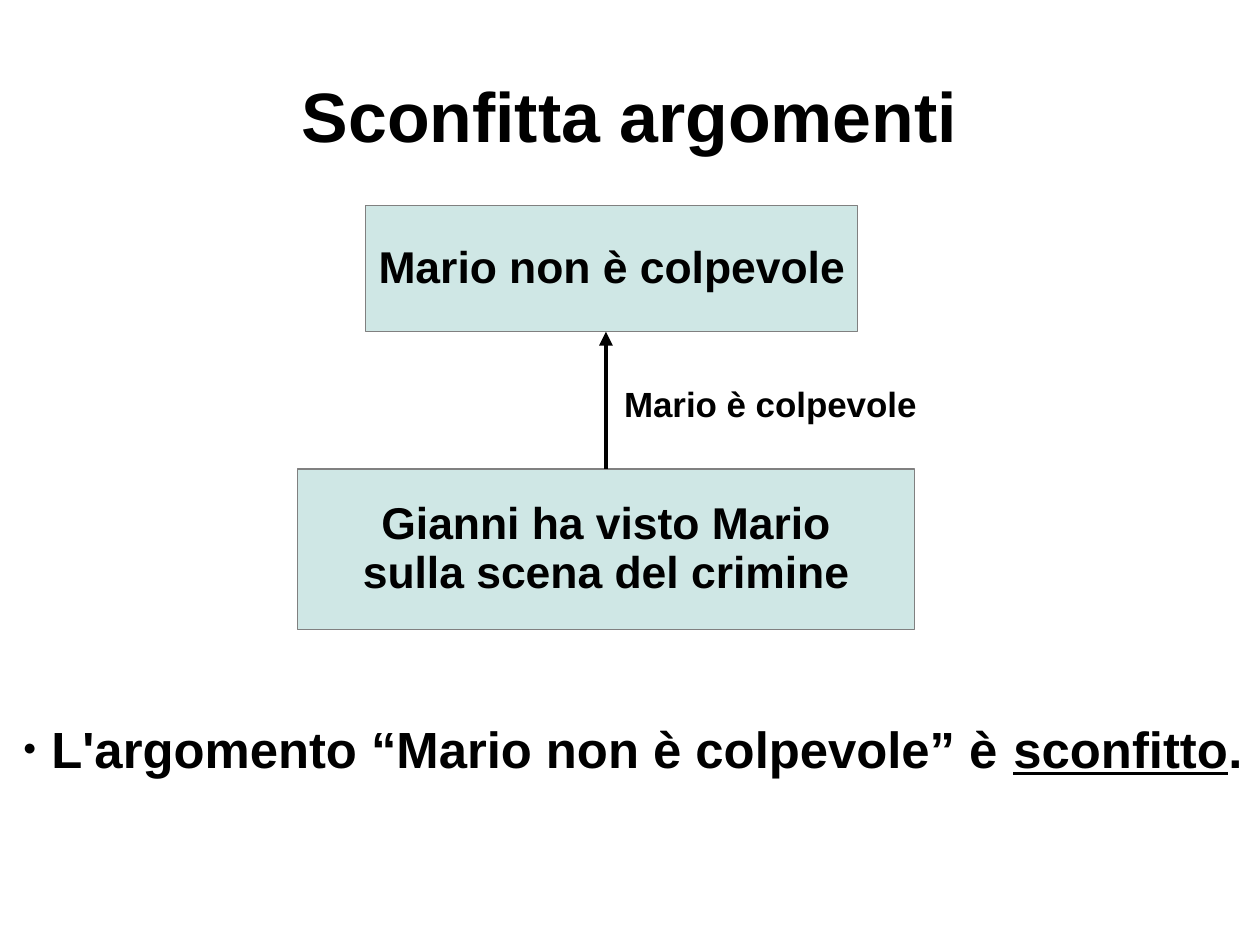
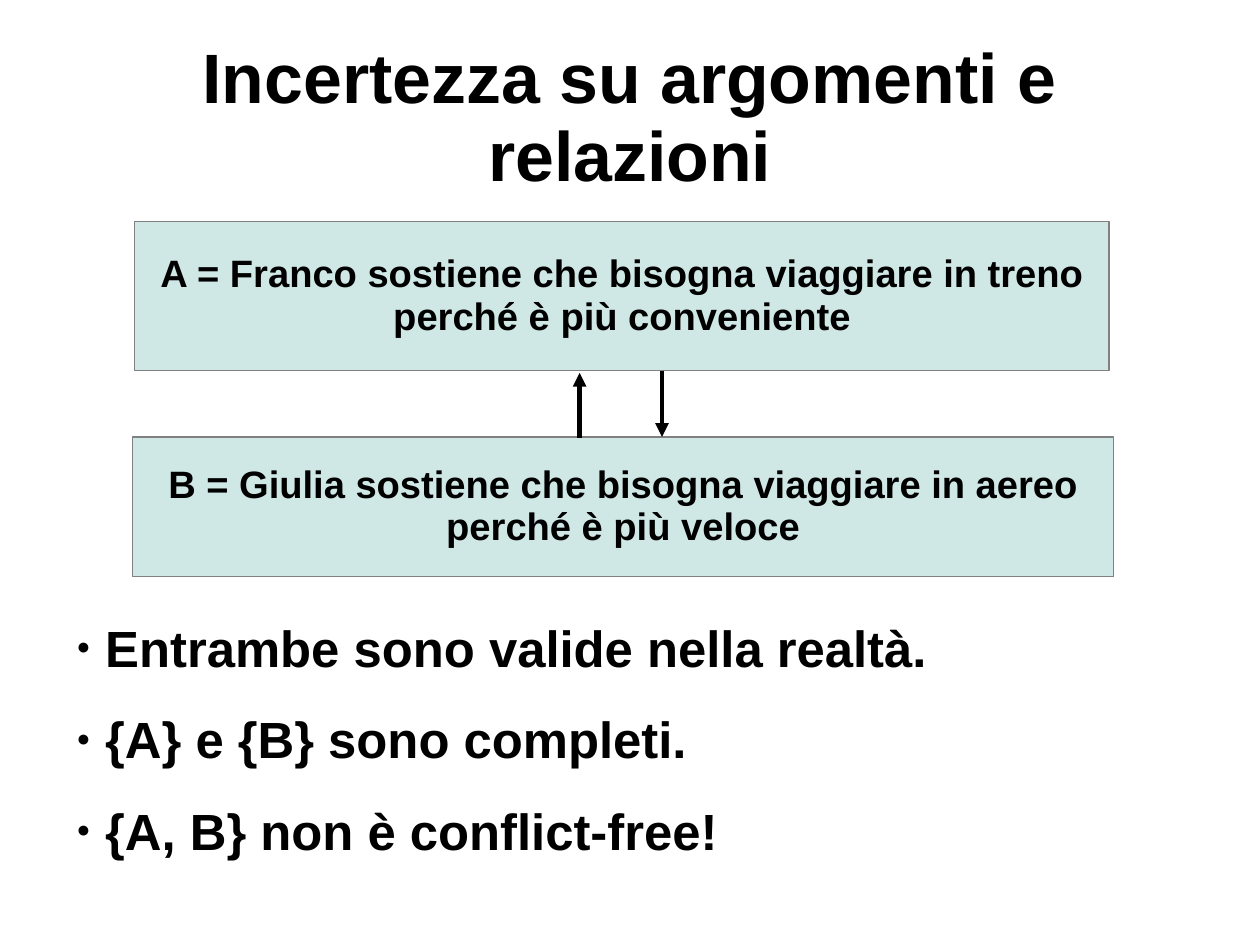
from dataclasses import dataclass

from lxml.etree import SubElement
from pptx import Presentation
from pptx.dml.color import RGBColor
from pptx.enum.shapes import MSO_CONNECTOR, MSO_SHAPE
from pptx.enum.text import MSO_ANCHOR, MSO_AUTO_SIZE, PP_ALIGN
from pptx.oxml.ns import qn
from pptx.shapes.autoshape import Shape
from pptx.shapes.connector import Connector
from pptx.slide import Slide
from pptx.text.text import TextFrame, _Paragraph
from pptx.util import Inches, Pt

COLORS = {"text": "000000", "box": "CFE7E5", "border": "808080", "paper": "FFFFFF"}
FONT = "Arial"
TITLE_AREA = (0.55, 0.32, 9.92, 1.41)
TIGHT = 0.93
LIST_SPACING = 1.5
BULLET_INDENT = 0.25


@dataclass(frozen=True)
class ArgumentBox:
    left: float
    top: float
    width: float
    height: float
    size: int
    lines: tuple[str, ...]


@dataclass(frozen=True)
class Arrow:
    x: float
    start: float
    end: float


@dataclass(frozen=True)
class Span:
    text: str
    underline: bool = False


def color(name: str) -> RGBColor:
    return RGBColor.from_string(COLORS[name])


# Text helpers
def style(para: _Paragraph, size: int, align: PP_ALIGN, spacing: float) -> None:
    para.alignment = align
    para.line_spacing = spacing
    para.space_before = Pt(0)
    para.font.name = FONT
    para.font.size = Pt(size)
    para.font.bold = True
    para.font.color.rgb = color("text")


def set_margins(frame: TextFrame, side: float, top: float, bottom: float) -> None:
    frame.margin_left = frame.margin_right = Inches(side)
    frame.margin_top, frame.margin_bottom = Inches(top), Inches(bottom)


def place(shape: Shape, area: tuple[float, float, float, float]) -> None:
    shape.left, shape.top, shape.width, shape.height = map(Inches, area)


def add_bullet(para: _Paragraph) -> None:
    properties = para._p.get_or_add_pPr()
    properties.set("marL", str(Inches(BULLET_INDENT)))
    properties.set("indent", str(-Inches(BULLET_INDENT)))
    bullet_color = SubElement(properties, qn("a:buClr"))
    SubElement(bullet_color, qn("a:srgbClr"), val=COLORS["text"])
    SubElement(properties, qn("a:buSzPct"), val="45000")
    SubElement(properties, qn("a:buChar"), char="●")


# Slide parts
def add_page(deck: Presentation, title: str) -> Slide:
    page = deck.slides.add_slide(deck.slide_layouts[1])
    page.background.fill.solid()
    page.background.fill.fore_color.rgb = color("paper")
    heading = page.shapes.title
    place(heading, TITLE_AREA)
    frame = heading.text_frame
    frame.text = title
    frame.auto_size = MSO_AUTO_SIZE.NONE
    frame.vertical_anchor = MSO_ANCHOR.MIDDLE
    set_margins(frame, 0, 0.04, 0)
    style(frame.paragraphs[0], 44, PP_ALIGN.CENTER, TIGHT)
    return page


def fill_list(page: Slide, area: tuple[float, float, float, float],
              items: list[list[Span]]) -> None:
    body = page.placeholders[1]
    place(body, area)
    frame = body.text_frame
    frame.auto_size = MSO_AUTO_SIZE.NONE
    frame.vertical_anchor = MSO_ANCHOR.MIDDLE
    set_margins(frame, 0, 0, 0)
    for index, item in enumerate(items):
        para = frame.add_paragraph() if index else frame.paragraphs[0]
        add_bullet(para)
        style(para, 32, PP_ALIGN.LEFT, LIST_SPACING)
        for span in item:
            run = para.add_run()
            run.text = span.text
            if span.underline:
                run.font.underline = True


def add_box(page: Slide, spot: ArgumentBox) -> Shape:
    box = page.shapes.add_shape(
        MSO_SHAPE.FLOWCHART_PROCESS, Inches(spot.left), Inches(spot.top),
        Inches(spot.width), Inches(spot.height))
    box.shadow.inherit = False
    box.fill.solid()
    box.fill.fore_color.rgb = color("box")
    box.line.color.rgb = color("border")
    box.line.width = Pt(0.75)
    frame = box.text_frame
    frame.text = "\n".join(spot.lines)
    frame.word_wrap = False
    frame.vertical_anchor = MSO_ANCHOR.MIDDLE
    set_margins(frame, 0.1, 0.05, 0.05)
    for para in frame.paragraphs:
        style(para, spot.size, PP_ALIGN.CENTER, TIGHT)
    return box


def add_arrow(page: Slide, arrow: Arrow) -> Connector:
    line = page.shapes.add_connector(
        MSO_CONNECTOR.STRAIGHT, Inches(arrow.x), Inches(arrow.start),
        Inches(arrow.x), Inches(arrow.end))
    line.line.color.rgb = color("text")
    line.line.width = Pt(2.89)
    SubElement(line.line._get_or_add_ln(), qn("a:tailEnd"), type="triangle")
    SubElement(line._element.spPr, qn("a:effectLst"))
    return line


def add_label(page: Slide, area: tuple[float, float, float, float], text: str) -> None:
    label = page.shapes.add_textbox(*map(Inches, area))
    frame = label.text_frame
    frame.text = text
    frame.word_wrap = True
    set_margins(frame, 0.1, 0.05, 0.05)
    style(frame.paragraphs[0], 22, PP_ALIGN.LEFT, TIGHT)


# Slides
def build_defeat(deck: Presentation) -> None:
    page = add_page(deck, "Sconfitta argomenti")
    add_box(page, ArgumentBox(3.2, 1.8, 4.3, 1.1, 28, ("Mario non è colpevole",)))
    witness = add_box(page, ArgumentBox(
        2.6, 4.1, 5.4, 1.4, 28, ("Gianni ha visto Mario", "sulla scena del crimine")))
    attack = add_arrow(page, Arrow(5.3, 4.1, 2.9))
    attack.begin_connect(witness, 0)
    add_label(page, (5.36, 3.33, 3, 0.5), "Mario è colpevole")
    fill_list(page, (0.2, 5.71, 10.87, 1.39), [[
        Span("L'argomento “Mario non è colpevole” è "),
        Span("sconfitto", underline=True),
        Span("."),
    ]])


def build_uncertainty(deck: Presentation) -> None:
    page = add_page(deck, "Incertezza su argomenti e relazioni")
    boxes = (
        ArgumentBox(1.18, 1.94, 8.52, 1.3, 24, (
            "A = Franco sostiene che bisogna viaggiare in treno",
            "perché è più conveniente")),
        ArgumentBox(1.16, 3.82, 8.58, 1.22, 24, (
            "B = Giulia sostiene che bisogna viaggiare in aereo",
            "perché è più veloce")),
    )
    for spot in boxes:
        add_box(page, spot)
    for arrow in (Arrow(5.07, 3.83, 3.26), Arrow(5.79, 3.24, 3.82)):
        add_arrow(page, arrow)
    fill_list(page, (0.67, 5.12, 9.5, 2.4), [
        [Span("Entrambe sono valide nella realtà.")],
        [Span("{A} e {B} sono completi.")],
        [Span("{A, B} non è conflict-free!")],
    ])


def main() -> None:
    deck = Presentation()
    deck.slide_width, deck.slide_height = Inches(11.02), Inches(8.27)
    build_defeat(deck)
    build_uncertainty(deck)
    deck.save("out.pptx")


if __name__ == "__main__":
    main()
